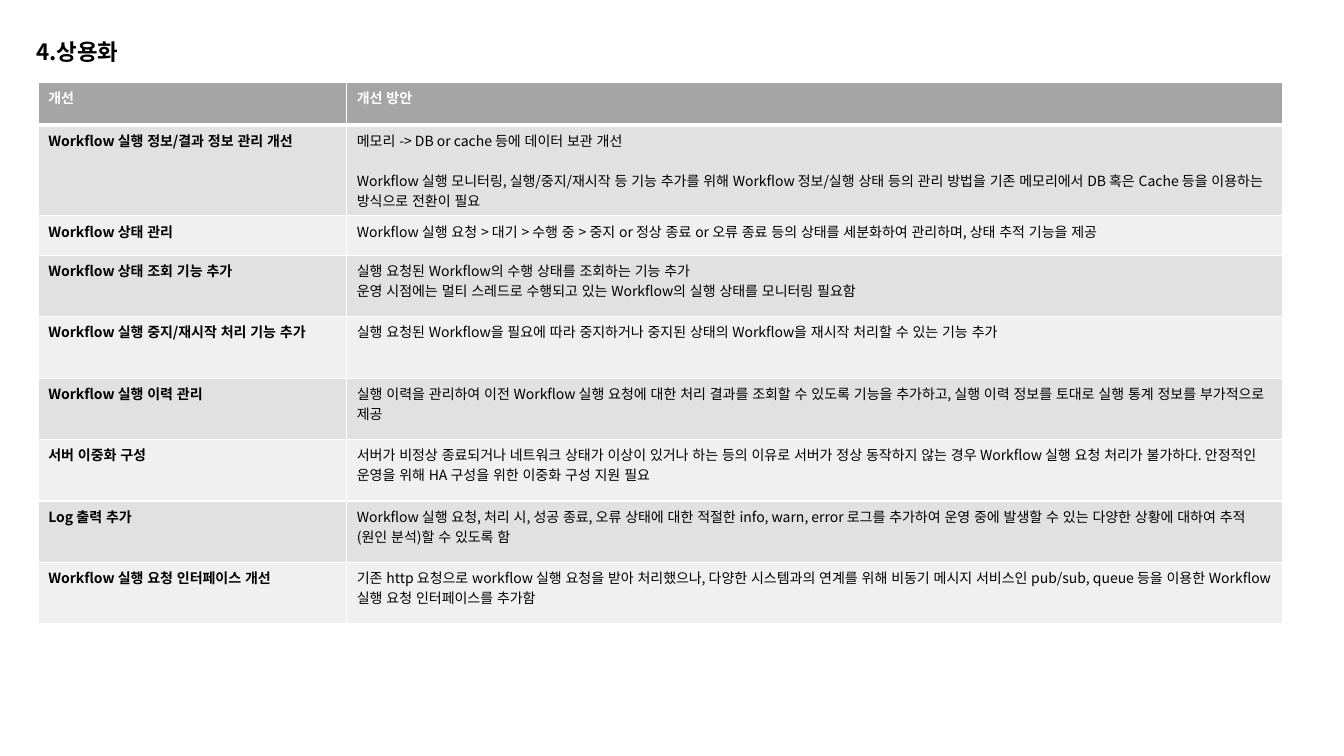
from dataclasses import dataclass

from lxml import etree
from pptx import Presentation
from pptx.dml.color import RGBColor
from pptx.enum.text import MSO_ANCHOR, MSO_AUTO_SIZE, PP_ALIGN
from pptx.oxml.ns import qn
from pptx.util import Inches, Pt

MIDDLE = MSO_ANCHOR.MIDDLE
LEFT = PP_ALIGN.LEFT
NO_FIT = MSO_AUTO_SIZE.NONE
TITLE_ONLY = 5


@dataclass(frozen=True)
class Theme:
    font: str = "Noto Sans CJK KR"
    title_size: float = 16
    table_size: float = 10
    paragraph_gap: float = 14.5
    thin_rule: float = 1
    header_rule: float = 3
    ink: str = "000000"
    paper: str = "FFFFFF"
    header: str = "A5A5A5"
    bands: tuple = ("E1E1E1", "F0F0F0")


HEADINGS = ("개선", "개선 방안")
IMPROVEMENTS = [
    ("Workflow 실행 정보/결과 정보 관리 개선",
     "메모리 -> DB or cache 등에 데이터 보관 개선\n"
     "Workflow 실행 모니터링, 실행/중지/재시작 등 기능 추가를 위해 Workflow 정보/실행 상태 등의 "
     "관리 방법을 기존 메모리에서 DB 혹은 Cache 등을 이용하는 방식으로 전환이 필요"),
    ("Workflow 상태 관리",
     "Workflow 실행 요청 > 대기 > 수행 중 > 중지 or 정상 종료 or 오류 종료 등의 상태를 "
     "세분화하여 관리하며, 상태 추적 기능을 제공"),
    ("Workflow 상태 조회 기능 추가",
     "실행 요청된 Workflow의 수행 상태를 조회하는 기능 추가\n"
     "운영 시점에는 멀티 스레드로 수행되고 있는 Workflow의 실행 상태를 모니터링 필요함"),
    ("Workflow 실행 중지/재시작 처리 기능 추가",
     "실행 요청된 Workflow을 필요에 따라 중지하거나 중지된 상태의 Workflow을 "
     "재시작 처리할 수 있는 기능 추가"),
    ("Workflow 실행 이력 관리",
     "실행 이력을 관리하여 이전 Workflow 실행 요청에 대한 처리 결과를 조회할 수 있도록 기능을 "
     "추가하고, 실행 이력 정보를 토대로 실행 통계 정보를 부가적으로 제공"),
    ("서버 이중화 구성",
     "서버가 비정상 종료되거나 네트워크 상태가 이상이 있거나 하는 등의 이유로 서버가 정상 동작하지 "
     "않는 경우 Workflow 실행 요청 처리가 불가하다. 안정적인 운영을 위해 HA 구성을 위한 "
     "이중화 구성 지원 필요"),
    ("Log 출력 추가",
     "Workflow 실행 요청, 처리 시, 성공 종료, 오류 상태에 대한 적절한 info, warn, error 로그를 "
     "추가하여 운영 중에 발생할 수 있는 다양한 상황에 대하여 추적(원인 분석)할 수 있도록 함"),
    ("Workflow 실행 요청 인터페이스 개선",
     "기존 http 요청으로 workflow 실행 요청을 받아 처리했으나, 다양한 시스템과의 연계를 위해 "
     "비동기 메시지 서비스인 pub/sub, queue 등을 이용한 Workflow 실행 요청 인터페이스를 추가함"),
]
COLUMN_WIDTHS = (3.06, 9.28)
ROW_HEIGHTS = [0.42, 0.9, 0.39] + [0.61] * 6


class SlideBuilder:
    def __init__(self, slide, theme):
        self.slide = slide
        self.theme = theme

    def format_text(self, frame, size, color, bold):
        for paragraph in frame.paragraphs:
            for run in paragraph.runs:
                run.font.name = self.theme.font
                run.font.size = Pt(size)
                run.font.bold = bold
                run.font.color.rgb = RGBColor.from_string(color)
                properties = run.font._element
                properties.set("lang", "ko-KR")
                east_asian = etree.SubElement(properties, qn("a:ea"))
                east_asian.set("typeface", self.theme.font)

    def title(self, text, left, top, width, height):
        heading = self.slide.shapes.title
        heading.left, heading.top = Inches(left), Inches(top)
        heading.width, heading.height = Inches(width), Inches(height)
        frame = heading.text_frame
        frame.text = text
        frame.word_wrap = True
        frame.auto_size = NO_FIT
        frame.vertical_anchor = MIDDLE
        frame.paragraphs[0].alignment = LEFT
        frame.paragraphs[0].line_spacing = 1.5
        self.format_text(frame, self.theme.title_size, self.theme.ink, True)

    def borders(self, cell, top, bottom):
        thin = self.theme.thin_rule
        properties = cell._tc.get_or_add_tcPr()
        for side, width in (("L", thin), ("R", thin), ("T", top), ("B", bottom)):
            rule = etree.SubElement(properties, qn(f"a:ln{side}"), w=str(Pt(width)))
            fill = etree.SubElement(rule, qn("a:solidFill"))
            etree.SubElement(fill, qn("a:srgbClr"), val=self.theme.paper)

    def table(self, rows, left, top, widths, heights):
        theme = self.theme
        grid = self.slide.shapes.add_table(
            len(rows), len(widths), Inches(left), Inches(top),
            Inches(sum(widths)), Inches(sum(heights))).table
        for column, width in zip(grid.columns, widths):
            column.width = Inches(width)
        for index, (row, height, texts) in enumerate(zip(grid.rows, heights, rows)):
            row.height = Inches(height)
            is_header = index == 0
            background = theme.header if is_header else theme.bands[(index - 1) % 2]
            color = theme.paper if is_header else theme.ink
            top_rule = theme.header_rule if index == 1 else theme.thin_rule
            bottom_rule = theme.header_rule if is_header else theme.thin_rule
            for position, (cell, text) in enumerate(zip(row.cells, texts)):
                self.borders(cell, top_rule, bottom_rule)
                cell.fill.solid()
                cell.fill.fore_color.rgb = RGBColor.from_string(background)
                cell.text_frame.text = text
                self.format_text(cell.text_frame, theme.table_size, color,
                                 is_header or position == 0)
        return grid


def main():
    presentation = Presentation()
    presentation.slide_width = Inches(13.33)
    presentation.slide_height = Inches(7.5)
    slide = presentation.slides.add_slide(presentation.slide_layouts[TITLE_ONLY])
    theme = Theme()
    builder = SlideBuilder(slide, theme)
    plan = builder.table([HEADINGS] + IMPROVEMENTS, 0.38, 0.82,
                         COLUMN_WIDTHS, ROW_HEIGHTS)
    storage_summary = plan.cell(1, 1).text_frame.paragraphs[0]
    storage_summary.space_after = Pt(theme.paragraph_gap)
    builder.title("4.상용화", 0.26, 0.22, 11.46, 0.45)
    presentation.save("out.pptx")


if __name__ == "__main__":
    main()
